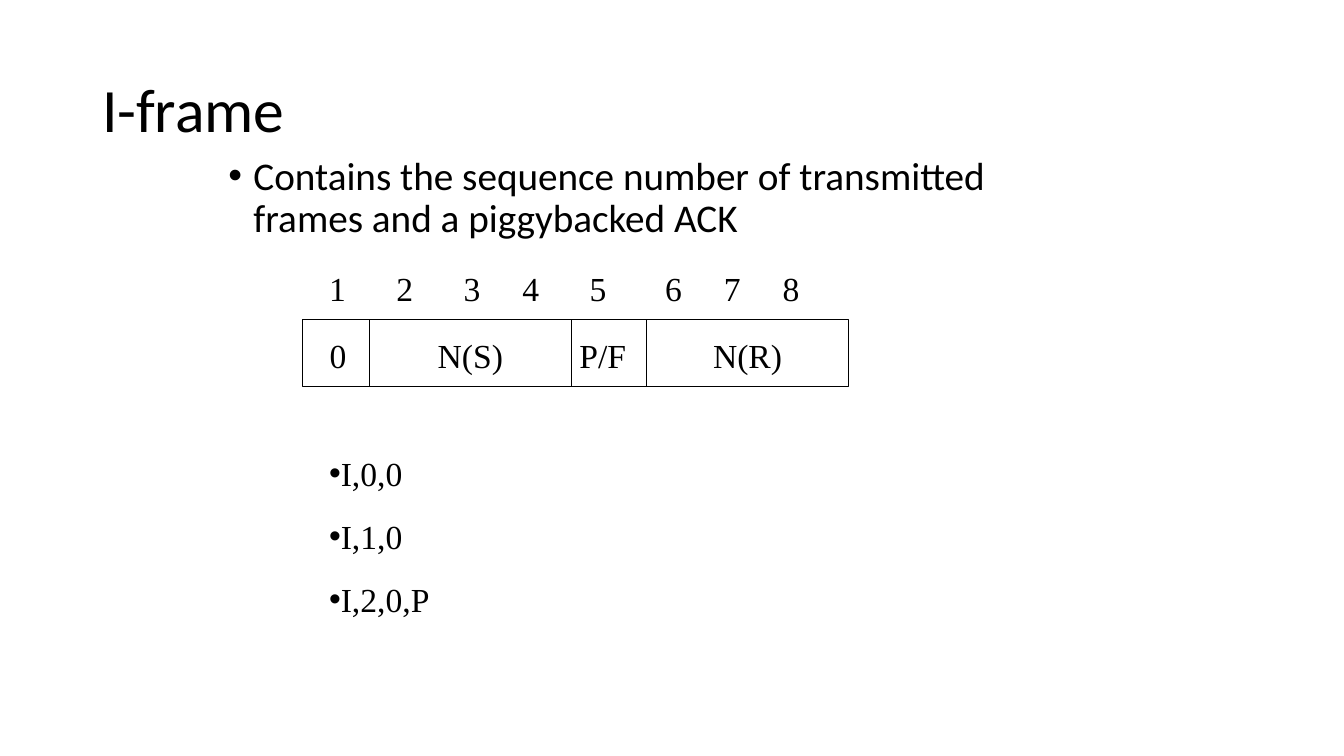
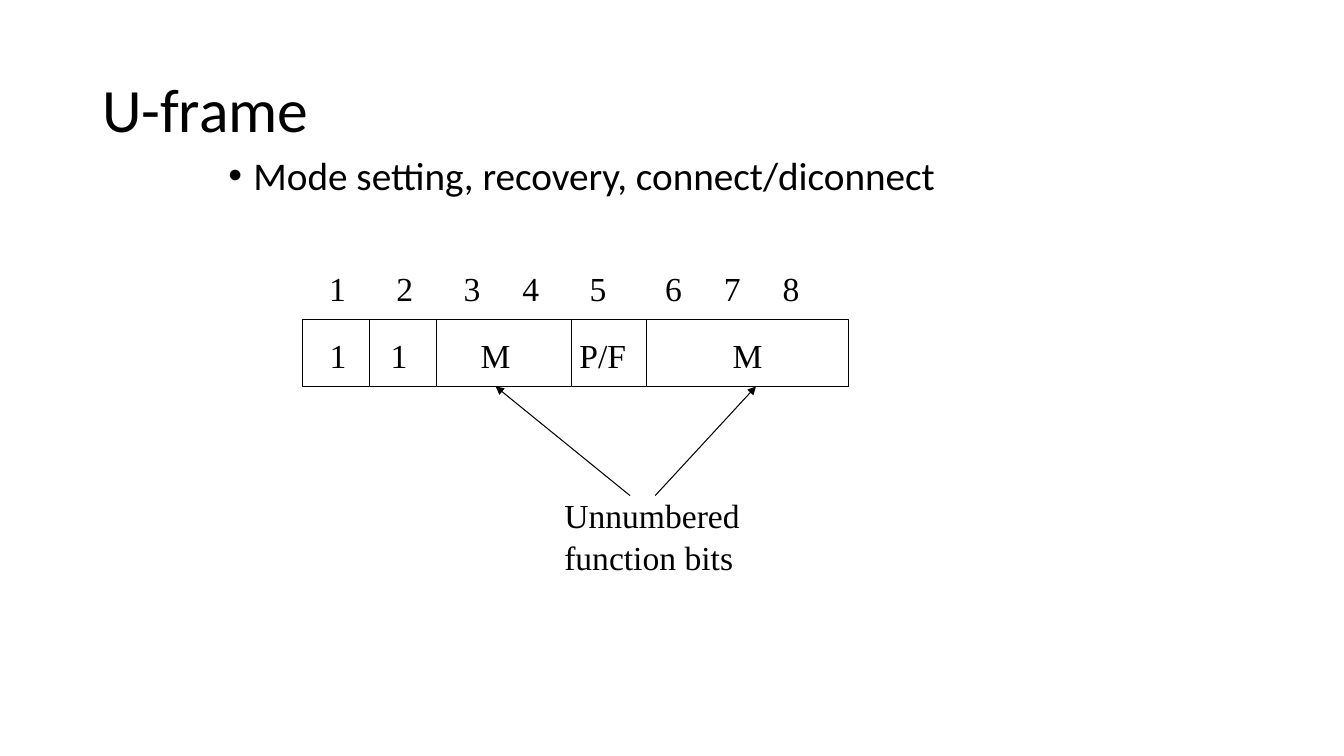
import dataclasses

import lxml.etree
import pptx
import pptx.dml.color
import pptx.enum.shapes
import pptx.enum.text
import pptx.oxml.ns
import pptx.util

EMU_PER_PX = 9525
SLIDE_SIZE = (1280, 720)

FRAME_TOP, FRAME_BOTTOM = 304, 368
FRAME_LEFT, FRAME_RIGHT = 288, 808
LABEL_TOP, LABEL_HEIGHT = 312, 49
BIT_TABS = (64, 128, 184, 248, 320, 376, 432)

LEFT = pptx.enum.text.PP_ALIGN.LEFT
CENTER = pptx.enum.text.PP_ALIGN.CENTER
TOP = pptx.enum.text.MSO_ANCHOR.TOP
MIDDLE = pptx.enum.text.MSO_ANCHOR.MIDDLE


@dataclasses.dataclass(frozen=True)
class Theme:
    ink: pptx.dml.color.RGBColor = pptx.dml.color.RGBColor(0, 0, 0)
    heading_font: str = "Calibri"
    diagram_font: str = "Times New Roman"
    bullet_font: str = "Arial"
    title_size: int = 44
    body_size: int = 28
    diagram_size: int = 24
    line_width: float = 0.75
    heading_spacing: float = 0.9
    diagram_spacing: float = 1.06
    paragraph_gap: float = 14.5


def px(length):
    return pptx.util.Emu(round(length * EMU_PER_PX))


def add_child(parent, tag, **attributes):
    child = lxml.etree.SubElement(parent, pptx.oxml.ns.qn(tag))
    for name, value in attributes.items():
        child.set(name, str(value))
    return child


class FrameSlide:
    """Holds the style and the slide being drawn."""

    def __init__(self, deck, theme):
        self.theme = theme
        self.slide = deck.slides.add_slide(deck.slide_layouts[6])

    def text(self, content, left, top, width, height, *, size=None, font=None,
             align=LEFT, anchor=TOP, spacing=None, inset=9.6, bullet=False,
             hang=0, tabs=()):
        """Write one paragraph for each line of content."""
        theme = self.theme
        box = self.slide.shapes.add_textbox(px(left), px(top), px(width), px(height))
        frame = box.text_frame
        frame.word_wrap = True
        frame.vertical_anchor = anchor
        frame.margin_left = frame.margin_right = px(inset)
        for index, line in enumerate(content.split("\n")):
            para = frame.paragraphs[0] if index == 0 else frame.add_paragraph()
            properties = para._p.get_or_add_pPr()
            if bullet:
                properties.set("marL", str(px(hang)))
                properties.set("indent", str(px(-hang)))
                add_child(properties, "a:buFont", typeface=theme.bullet_font)
                add_child(properties, "a:buChar", char="•")
            if tabs:
                stops = add_child(properties, "a:tabLst")
                for position in tabs:
                    add_child(stops, "a:tab", pos=px(position), algn="l")
            para.alignment = align
            para.line_spacing = spacing or theme.diagram_spacing
            if index:
                para.space_before = pptx.util.Pt(theme.paragraph_gap)
            span = para.add_run()
            span.text = line
            span.font.name = font or theme.diagram_font
            span.font.size = pptx.util.Pt(size or theme.diagram_size)
            span.font.color.rgb = theme.ink

    def heading(self, title, body, body_height):
        theme = self.theme
        shared = {"font": theme.heading_font, "spacing": theme.heading_spacing}
        self.text(title, 88, 38, 1104, 139, size=theme.title_size,
                  anchor=MIDDLE, **shared)
        self.text(body, 208, 144, 808, body_height, size=theme.body_size,
                  bullet=True, hang=24, **shared)

    def outline(self, line):
        line.color.rgb = self.theme.ink
        line.width = pptx.util.Pt(self.theme.line_width)

    def line(self, start, end, arrow=False):
        connector = self.slide.shapes.add_connector(
            pptx.enum.shapes.MSO_CONNECTOR.STRAIGHT,
            px(start[0]), px(start[1]), px(end[0]), px(end[1]))
        self.outline(connector.line)
        if arrow:
            add_child(connector.line._get_or_add_ln(), "a:tailEnd", type="triangle")
        add_child(connector._element.spPr, "a:effectLst")

    def frame_diagram(self, fields):
        """Draw the bit frame; a field is its left edge, label centre and label."""
        box = self.slide.shapes.add_shape(
            pptx.enum.shapes.MSO_SHAPE.RECTANGLE, px(FRAME_LEFT), px(FRAME_TOP),
            px(FRAME_RIGHT - FRAME_LEFT), px(FRAME_BOTTOM - FRAME_TOP))
        box.shadow.inherit = False
        box.fill.background()
        self.outline(box.line)
        self.text("\t".join("12345678"), 304, 248, 504, LABEL_HEIGHT, tabs=BIT_TABS)

        edges = [field[0] for field in fields] + [FRAME_RIGHT]
        for (left, center, label), right in zip(fields, edges[1:]):
            if left > FRAME_LEFT:
                self.line((left, FRAME_TOP), (left, FRAME_BOTTOM))
            width = right - left
            self.text(label, center - width / 2, LABEL_TOP, width, LABEL_HEIGHT,
                      align=CENTER, inset=0)


def build_information_frame(deck, theme):
    page = FrameSlide(deck, theme)
    page.heading("I-frame", "Contains the sequence number of transmitted "
                 "frames and a piggybacked ACK", 96)
    page.frame_diagram([(FRAME_LEFT, 322, "0"), (352, 448, "N(S)"),
                        (544, 574, "P/F"), (616, 712, "N(R)")])
    page.text("I,0,0\nI,1,0\nI,2,0,P", 304, 424, 416, 165, bullet=True)


def build_unnumbered_frame(deck, theme):
    page = FrameSlide(deck, theme)
    page.heading("U-frame", "Mode setting, recovery, connect/diconnect", 56)
    page.frame_diagram([(FRAME_LEFT, 322, "1"), (352, 380, "1"), (416, 472, "M"),
                        (544, 574, "P/F"), (616, 712, "M")])
    page.text("Unnumbered function bits", 528, 464, 232, 87)
    for start, end in ((600, 472), (624, 720)):
        page.line((start, 472), (end, FRAME_BOTTOM), arrow=True)


def main():
    deck = pptx.Presentation()
    deck.slide_width, deck.slide_height = map(px, SLIDE_SIZE)
    theme = Theme()
    build_information_frame(deck, theme)
    build_unnumbered_frame(deck, theme)
    deck.save("out.pptx")


if __name__ == "__main__":
    main()
